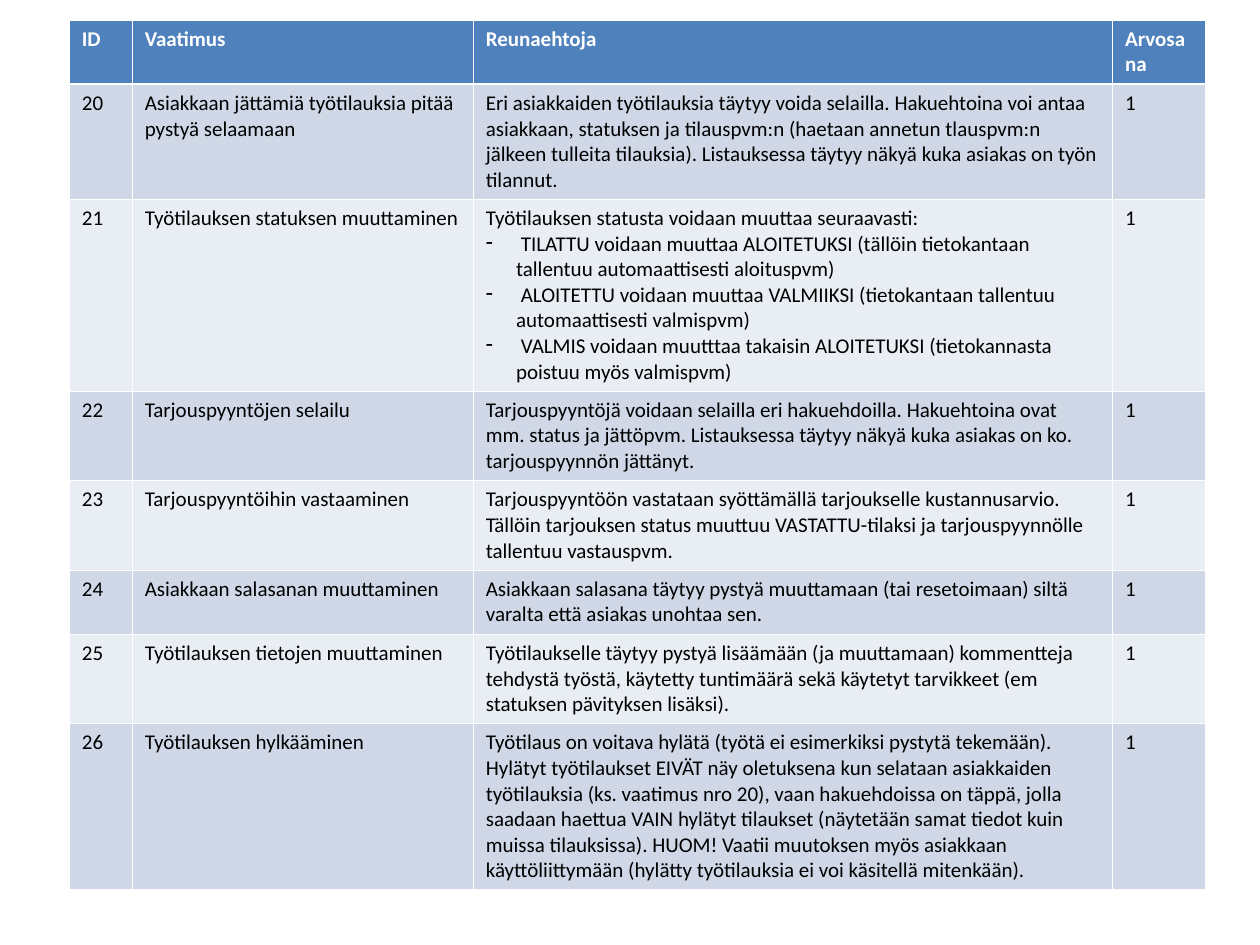
import pptx
import pptx.dml.color
import pptx.oxml
import pptx.oxml.ns
import pptx.util
from pptx.util import Inches

WHITE = pptx.dml.color.RGBColor(0xFF, 0xFF, 0xFF)
BLACK = pptx.dml.color.RGBColor(0x00, 0x00, 0x00)
HEADER_BLUE = pptx.dml.color.RGBColor(0x4F, 0x81, 0xBD)
BAND_DARK = pptx.dml.color.RGBColor(0xD0, 0xD8, 0xE8)
BAND_LIGHT = pptx.dml.color.RGBColor(0xE9, 0xED, 0xF4)

BODY_FONT = {"name": "Calibri", "size": pptx.util.Pt(12), "bold": False}
HEADER_FONT = {**BODY_FONT, "bold": True}
THIN, THICK = pptx.util.Pt(0.45), pptx.util.Pt(1.47)
BULLET_INDENT = Inches(0.24)

COLUMN_WIDTHS = [0.5, 2.71, 5.08, 0.74]
ROW_HEIGHTS = [0.51, 0.91, 1.52, 0.71, 0.71, 0.51, 0.71, 1.32]
HEADINGS = ["ID", "Vaatimus", "Reunaehtoja", "Arvosana"]
FIRST_ID = 20
GRADE = "1"
REQUIREMENTS = [
    ("Asiakkaan jättämiä työtilauksia pitää pystyä selaamaan",
     ["Eri asiakkaiden työtilauksia täytyy voida selailla. Hakuehtoina voi antaa asiakkaan, "
      "statuksen ja tilauspvm:n (haetaan annetun tlauspvm:n jälkeen tulleita tilauksia). "
      "Listauksessa täytyy näkyä kuka asiakas on työn tilannut."]),
    ("Työtilauksen statuksen muuttaminen",
     ["Työtilauksen statusta voidaan muuttaa seuraavasti:",
      " TILATTU voidaan muuttaa ALOITETUKSI (tällöin tietokantaan tallentuu "
      "automaattisesti aloituspvm)",
      " ALOITETTU voidaan muuttaa VALMIIKSI (tietokantaan tallentuu automaattisesti valmispvm)",
      " VALMIS voidaan muutttaa takaisin ALOITETUKSI (tietokannasta poistuu myös valmispvm)"]),
    ("Tarjouspyyntöjen selailu",
     ["Tarjouspyyntöjä voidaan selailla eri hakuehdoilla. Hakuehtoina ovat mm. status ja "
      "jättöpvm. Listauksessa täytyy näkyä kuka asiakas on ko. tarjouspyynnön jättänyt."]),
    ("Tarjouspyyntöihin vastaaminen",
     ["Tarjouspyyntöön vastataan syöttämällä tarjoukselle kustannusarvio. Tällöin tarjouksen "
      "status muuttuu VASTATTU-tilaksi ja tarjouspyynnölle tallentuu vastauspvm."]),
    ("Asiakkaan salasanan muuttaminen",
     ["Asiakkaan salasana täytyy pystyä muuttamaan (tai resetoimaan) siltä varalta että "
      "asiakas unohtaa sen."]),
    ("Työtilauksen tietojen muuttaminen",
     ["Työtilaukselle täytyy pystyä lisäämään (ja muuttamaan) kommentteja tehdystä työstä, "
      "käytetty tuntimäärä sekä käytetyt tarvikkeet (em statuksen pävityksen lisäksi)."]),
    ("Työtilauksen hylkääminen",
     ["Työtilaus on voitava hylätä (työtä ei esimerkiksi pystytä tekemään). Hylätyt "
      "työtilaukset EIVÄT näy oletuksena kun selataan asiakkaiden työtilauksia (ks. vaatimus "
      "nro 20), vaan hakuehdoissa on täppä, jolla saadaan haettua VAIN hylätyt tilaukset "
      "(näytetään samat tiedot kuin muissa tilauksissa). HUOM! Vaatii muutoksen myös "
      "asiakkaan käyttöliittymään (hylätty työtilauksia ei voi käsitellä mitenkään)."]),
]


def add_borders(cell, widths):
    """Draw white cell borders with the width given for each side."""
    properties = cell._tc.get_or_add_tcPr()
    for side, width in widths.items():
        properties.append(pptx.oxml.parse_xml(
            f'<a:ln{side} {pptx.oxml.ns.nsdecls("a")} w="{width}"><a:solidFill>'
            f'<a:srgbClr val="{WHITE}"/></a:solidFill></a:ln{side}>'))


def add_bullet(paragraph):
    """Give a paragraph a dash bullet with a hanging indent."""
    properties = paragraph._p.get_or_add_pPr()
    properties.set("marL", str(BULLET_INDENT))
    properties.set("indent", str(-BULLET_INDENT))
    properties.append(pptx.oxml.parse_xml(
        f'<a:buChar {pptx.oxml.ns.nsdecls("a")} char="-"/>'))


def fill_cell(cell, lines, font_format, font_color, fill_color, border_widths):
    """Write the lines into a cell, with every line after the first bulleted."""
    add_borders(cell, border_widths)
    cell.fill.solid()
    cell.fill.fore_color.rgb = fill_color
    for index, line in enumerate(lines):
        paragraph = cell.text_frame.add_paragraph() if index else cell.text_frame.paragraphs[0]
        if index:
            add_bullet(paragraph)
        run = paragraph.add_run()
        run.text = line
        for name, value in font_format.items():
            setattr(run.font, name, value)
        run.font.color.rgb = font_color


def add_requirements_table(slide, left, top, width, height):
    """Place the requirements table in the given box."""
    rows = [[[heading] for heading in HEADINGS]]
    for number, (requirement, conditions) in enumerate(REQUIREMENTS, FIRST_ID):
        rows.append([[str(number)], [requirement], conditions, [GRADE]])
    table = slide.shapes.add_table(len(rows), len(HEADINGS), left, top, width, height).table
    for column, share in zip(table.columns, COLUMN_WIDTHS):
        column.width = int(width * share / sum(COLUMN_WIDTHS))
    for row, share in zip(table.rows, ROW_HEIGHTS):
        row.height = int(height * share / sum(ROW_HEIGHTS))
    for row_index, row in enumerate(rows):
        is_header = row_index == 0
        fill_color = HEADER_BLUE if is_header else (BAND_LIGHT, BAND_DARK)[row_index % 2]
        font_format, font_color = (HEADER_FONT, WHITE) if is_header else (BODY_FONT, BLACK)
        border_widths = {"L": THIN, "R": THIN,
                         "T": THICK if row_index == 1 else THIN,
                         "B": THICK if is_header else THIN}
        for column_index, lines in enumerate(row):
            fill_cell(table.cell(row_index, column_index), lines, font_format, font_color,
                      fill_color, border_widths)


def main():
    """Build the requirements slide and save it."""
    presentation = pptx.Presentation()
    presentation.slide_width, presentation.slide_height = Inches(10), Inches(7.5)
    slide = presentation.slides.add_slide(presentation.slide_layouts.get_by_name("Blank"))
    add_requirements_table(slide, Inches(0.55), Inches(0.16), Inches(9.02), Inches(6.89))
    presentation.save("out.pptx")


if __name__ == "__main__":
    main()
